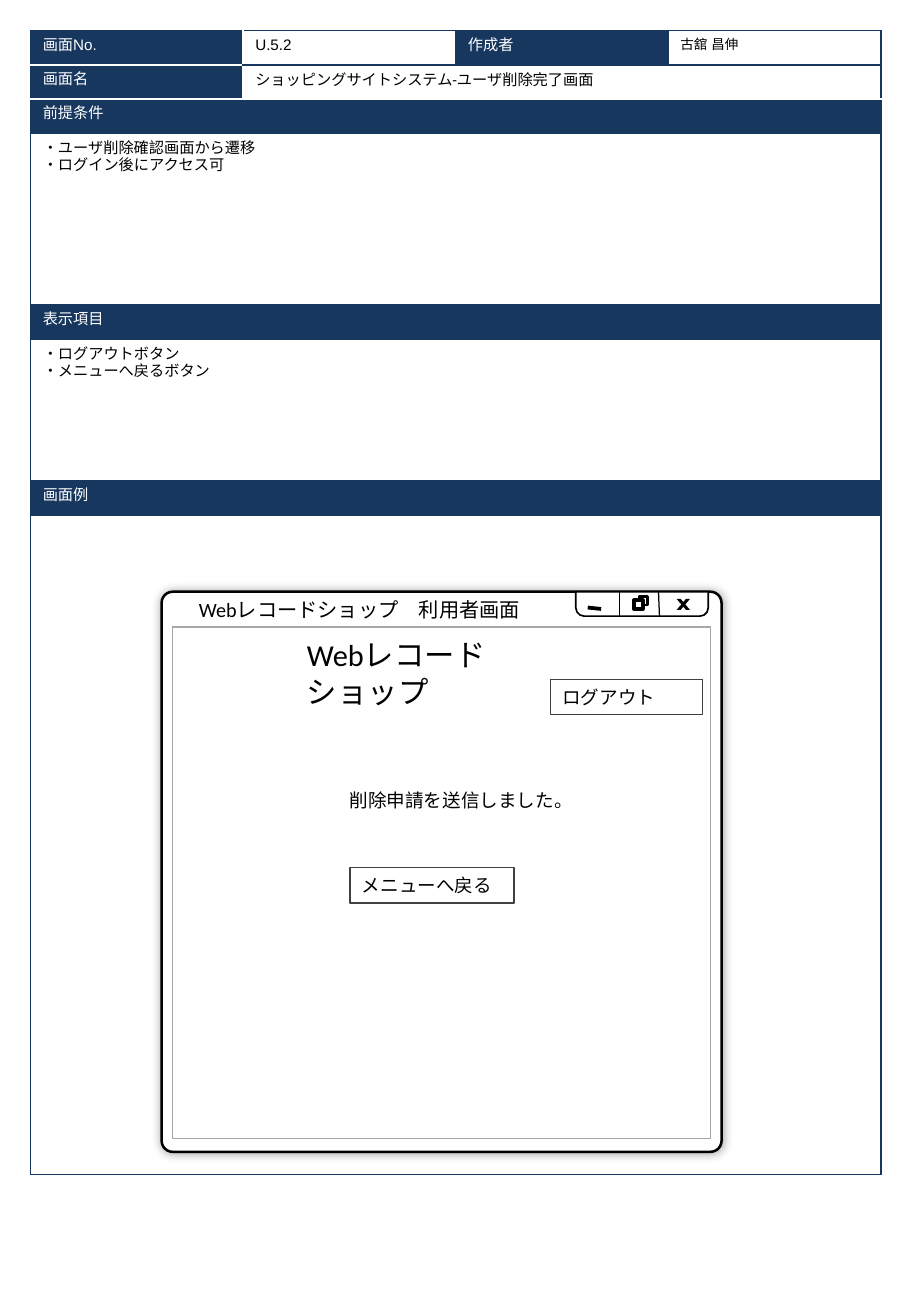
from dataclasses import dataclass

import pptx
import pptx.dml.color
import pptx.enum.shapes
import pptx.enum.text
import pptx.oxml
import pptx.oxml.ns
import pptx.util
from pptx.util import Cm

Kind = pptx.enum.shapes.MSO_SHAPE
COLORS = {"navy": "17375E", "white": "FFFFFF", "black": "000000",
          "gray": "A6A6A6", "dark": "404040"}
COLUMNS = 4
ROW_HEIGHTS = (0.72, 0.71, 0.72, 3.58, 0.72, 2.95, 0.74, 13.77)
SIDES = {"l": "lnL", "r": "lnR", "t": "lnT", "b": "lnB"}


@dataclass
class Entry:
    """One table cell; white lists the sides with a white border."""
    row: int
    column: int
    lines: tuple[str, ...] = ()
    span: int = 1
    header: bool = False
    white: str = ""
    size: float = 9
    font: str = "Arial"


@dataclass
class Figure:
    kind: Kind
    left: float
    top: float
    width: float
    height: float
    line: str | None = "black"
    weight: float = 1
    fill: str | None = "white"
    adjust: tuple[float, ...] = ()
    rotation: float = 0
    flip: bool = False
    shadow: bool = False
    text: str = ""


@dataclass
class Stroke:
    x1: float
    y1: float
    x2: float
    y2: float
    weight: float


@dataclass
class Label:
    text: str
    left: float
    top: float
    width: float
    height: float
    size: float


ENTRIES = (
    Entry(0, 0, ("画面No.",), header=True, white="rb"),
    Entry(0, 1, ("U.5.2",), white="l"),
    Entry(0, 2, ("作成者",), header=True),
    Entry(0, 3, ("古舘 昌伸",), size=8),
    Entry(1, 0, ("画面名",), header=True, white="trb"),
    Entry(1, 1, ("ショッピングサイトシステム-ユーザ削除完了画面",), span=3,
          white="lb", font="Calibri"),
    Entry(2, 0, ("前提条件",), span=4, header=True, white="t"),
    Entry(3, 0, ("・ユーザ削除確認画面から遷移", "・ログイン後にアクセス可"), span=4),
    Entry(4, 0, ("表示項目",), span=4, header=True),
    Entry(5, 0, ("・ログアウトボタン", "・メニューへ戻るボタン"), span=4),
    Entry(6, 0, ("画面例",), span=4, header=True),
    Entry(7, 0, span=4),
)
WINDOW = (
    Figure(Kind.ROUNDED_RECTANGLE, 3.38, 12.37, 11.71, 11.71, weight=1.5,
           adjust=(0.02,), shadow=True),
    Figure(Kind.ROUND_2_SAME_RECTANGLE, 12.04, 12.37, 2.77, 0.51,
           adjust=(0.344, 0), rotation=180),
)
DIVIDERS = (Stroke(13.79, 12.88, 13.77, 12.37, 0.75),
            Stroke(12.95, 12.88, 12.95, 12.37, 0.75))
ICONS = (
    Figure(Kind.RECTANGLE, 13.36, 12.47, 0.18, 0.18, weight=1.5),
    Figure(Kind.RECTANGLE, 13.26, 12.55, 0.18, 0.18, weight=2.25),
    *(Figure(Kind.PARALLELOGRAM, 14.15, 12.52, 0.28, 0.23, line=None,
             fill="black", adjust=(0.851,), flip=flip) for flip in (False, True)),
)
MINIMIZE = Stroke(12.29, 12.7, 12.57, 12.73, 2.25)
CONTENT = Figure(Kind.RECTANGLE, 3.61, 13.11, 11.25, 10.69, line="gray")
LABELS = (
    Label("Webレコードショップ　利用者画面", 3.91, 12.37, 7.92, 0.76, 12),
    Label("Webレコードショップ", 6.17, 13.18, 5.87, 1.02, 18),
    Label("削除申請を送信しました。", 7.06, 16.36, 7.59, 0.74, 11),
)
BUTTONS = (
    Figure(Kind.RECTANGLE, 7.32, 18.14, 3.43, 0.74, line="dark", weight=0.75,
           fill=None, text="メニューへ戻る"),
    Figure(Kind.RECTANGLE, 11.51, 14.2, 3.18, 0.74, line="dark", weight=0.75,
           fill=None, text="ログアウト"),
)


def rgb(name: str) -> pptx.dml.color.RGBColor:
    return pptx.dml.color.RGBColor.from_string(COLORS[name])


def paint(fill, color: str | None) -> None:
    if color is None:
        fill.background()
    else:
        fill.solid()
        fill.fore_color.rgb = rgb(color)


def add_xml(parent, body: str) -> None:
    """Append one DrawingML element, given without its namespace."""
    tag, rest = body.split(" ", 1)
    parent.append(pptx.oxml.parse_xml(f"<a:{tag} {pptx.oxml.ns.nsdecls('a')} {rest}"))


def write(para, text: str, *, size: float, font: str = "Calibri",
          color: str = "black") -> None:
    para.alignment = pptx.enum.text.PP_ALIGN.LEFT
    span = para.add_run()
    span.text = text
    span.font.size = pptx.util.Pt(size)
    span.font.name = font
    span.font.color.rgb = rgb(color)
    add_xml(span.font._element, f'ea typeface="{font}"/>')


def draw_border(cell, white: str) -> None:
    for side, tag in SIDES.items():
        color = COLORS["white" if side in white else "navy"]
        add_xml(cell._tc.get_or_add_tcPr(),
                f'{tag} w="12700"><a:solidFill><a:srgbClr val="{color}"/>'
                f'</a:solidFill></a:{tag}>')


def draw_table(page) -> None:
    frame = page.shapes.add_table(len(ROW_HEIGHTS), COLUMNS, Cm(0.64), Cm(0.64),
                                  Cm(17.78), Cm(sum(ROW_HEIGHTS)))
    table = frame.table
    table.first_row = table.horz_banding = False
    for row, height in zip(table.rows, ROW_HEIGHTS):
        row.height = Cm(height)
    for entry in ENTRIES:
        last = entry.column + entry.span - 1
        for column in range(entry.column, last + 1):
            cell = table.cell(entry.row, column)
            draw_border(cell, entry.white)
            paint(cell.fill, "navy" if entry.header else "white")
        cell = table.cell(entry.row, entry.column)
        if entry.span > 1:
            cell.merge(table.cell(entry.row, last))
        for index, line in enumerate(entry.lines):
            frame_text = cell.text_frame
            para = frame_text.add_paragraph() if index else frame_text.paragraphs[0]
            write(para, line, size=entry.size, font=entry.font,
                  color="white" if entry.header else "black")


def draw_figure(page, figure: Figure) -> None:
    shape = page.shapes.add_shape(figure.kind, Cm(figure.left), Cm(figure.top),
                                  Cm(figure.width), Cm(figure.height))
    paint(shape.fill, figure.fill)
    paint(shape.line.fill, figure.line)
    if figure.line:
        shape.line.width = pptx.util.Pt(figure.weight)
    for index, value in enumerate(figure.adjust):
        shape.adjustments[index] = value
    shape.rotation = figure.rotation
    if figure.flip:
        shape._element.spPr.xfrm.set("flipH", "1")
    shape.shadow.inherit = False
    if figure.shadow:
        effects = shape._element.spPr.find(pptx.oxml.ns.qn("a:effectLst"))
        add_xml(effects, 'outerShdw blurRad="76200" dist="0" dir="0"><a:srgbClr '
                f'val="{COLORS["black"]}"><a:alpha val="37000"/></a:srgbClr>'
                '</a:outerShdw>')
    if figure.text:
        write(shape.text_frame.paragraphs[0], figure.text, size=11)


def draw_stroke(page, stroke: Stroke) -> None:
    line = page.shapes.add_connector(
        pptx.enum.shapes.MSO_CONNECTOR.STRAIGHT,
        Cm(stroke.x1), Cm(stroke.y1), Cm(stroke.x2), Cm(stroke.y2))
    line.line.color.rgb = rgb("black")
    line.line.width = pptx.util.Pt(stroke.weight)
    add_xml(line._element.spPr, "effectLst />")


def draw_label(page, label: Label) -> None:
    box = page.shapes.add_textbox(Cm(label.left), Cm(label.top),
                                  Cm(label.width), Cm(label.height))
    box.text_frame.word_wrap = True
    write(box.text_frame.paragraphs[0], label.text, size=label.size)


def main() -> None:
    deck = pptx.Presentation()
    deck.slide_width, deck.slide_height = Cm(19.05), Cm(27.51)
    page = deck.slides.add_slide(deck.slide_layouts[6])
    draw_table(page)
    for item in (*WINDOW, *DIVIDERS, *ICONS, MINIMIZE, CONTENT, *LABELS, *BUTTONS):
        if isinstance(item, Figure):
            draw_figure(page, item)
        elif isinstance(item, Stroke):
            draw_stroke(page, item)
        else:
            draw_label(page, item)
    deck.save("out.pptx")


if __name__ == "__main__":
    main()
